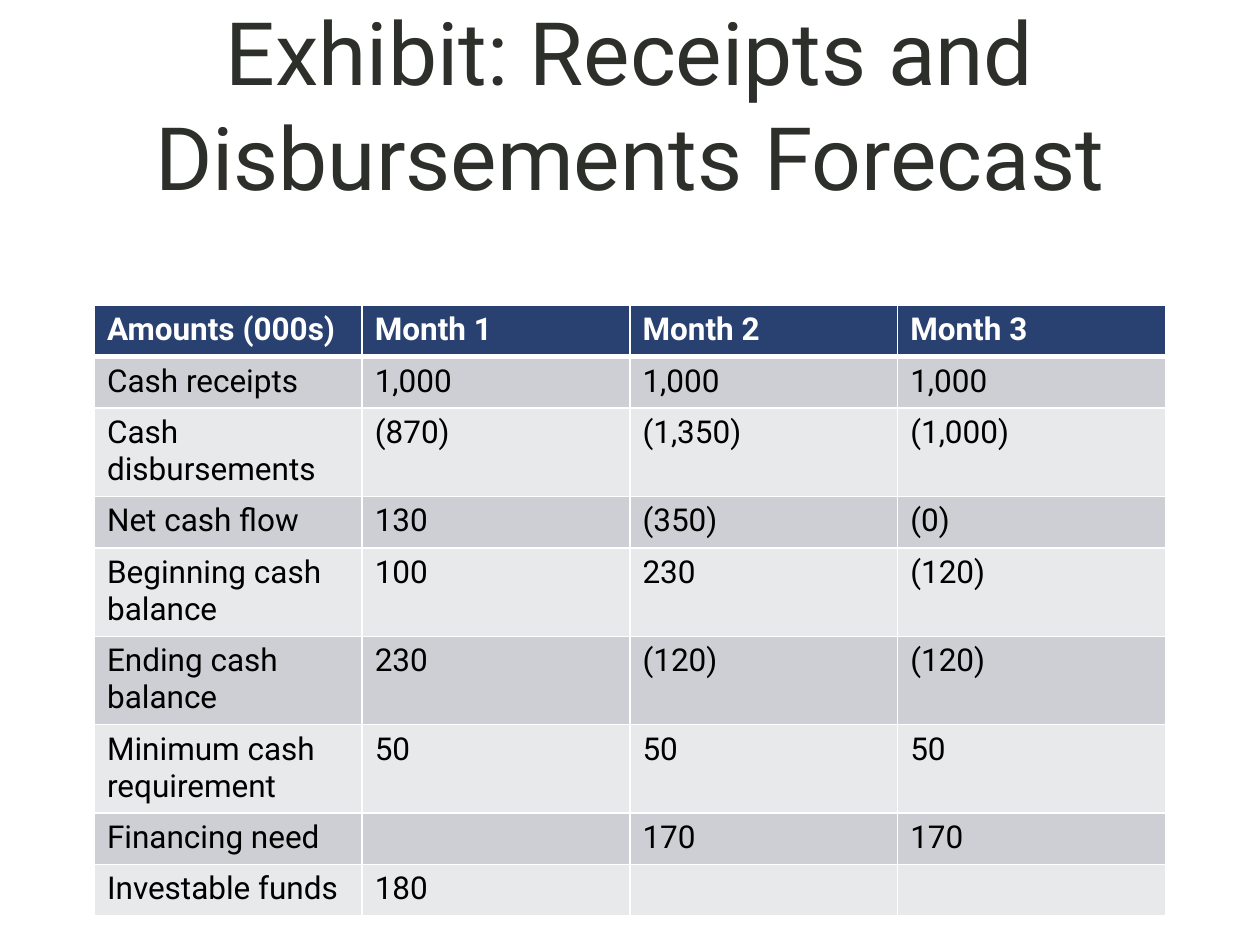
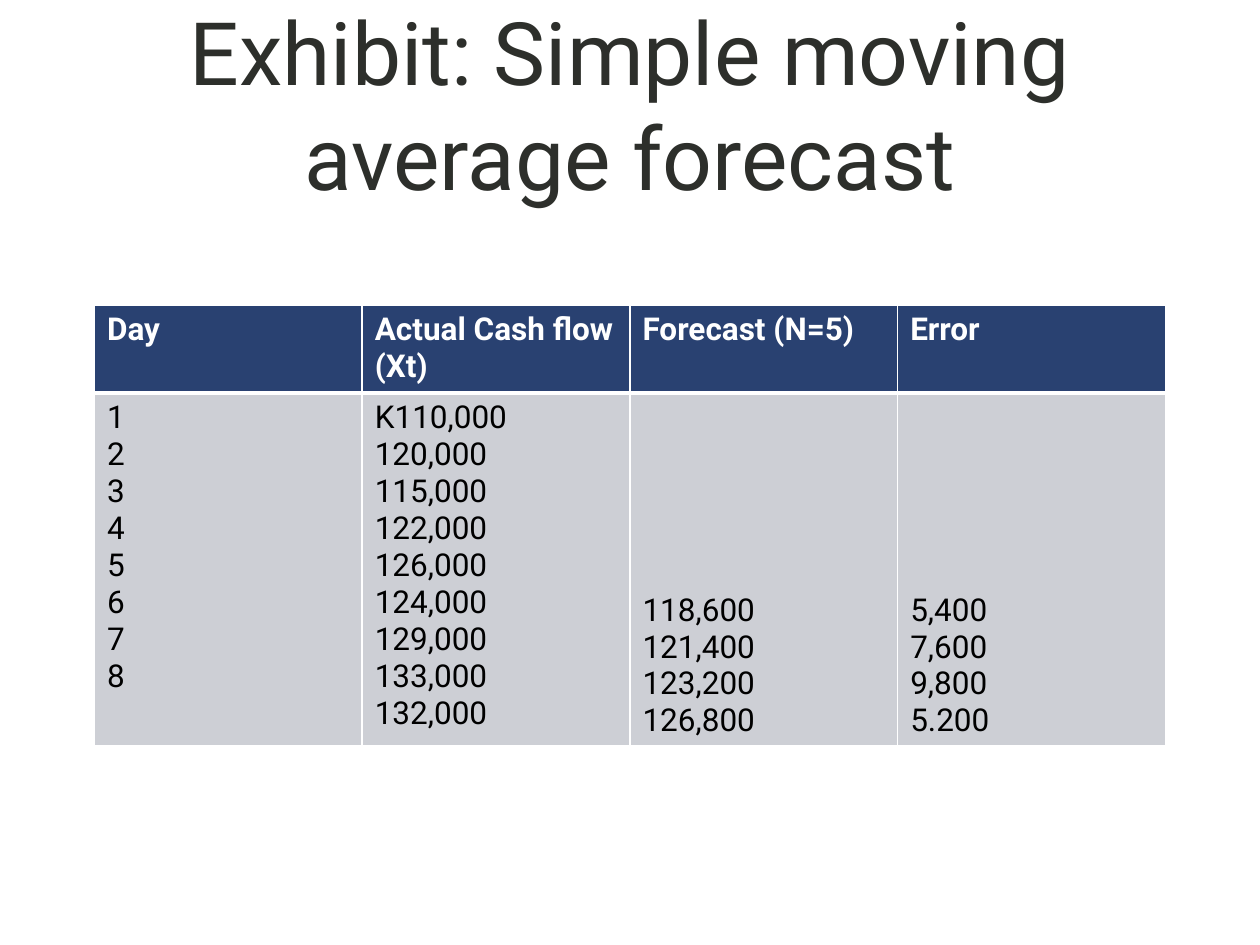
import pptx
import pptx.util
import pptx.dml.color
import pptx.enum.text
from lxml import etree
from pptx.oxml.ns import qn
from pptx.util import Inches

Color = pptx.dml.color.RGBColor
Anchor = pptx.enum.text.MSO_ANCHOR

WHITE = Color(0xFF, 0xFF, 0xFF)
BLACK = Color(0x00, 0x00, 0x00)
INK = Color(0x2D, 0x2F, 0x2B)
NAVY = Color(0x29, 0x41, 0x71)
BANDS = (Color(0xCD, 0xCF, 0xD5), Color(0xE8, 0xE9, 0xEB))
FONT = "Roboto"
LEFT, WIDTH = 0.75, 8.5
ROW = 0.41

CASH = [
    ["Amounts (000s)", "Month 1", "Month 2", "Month 3"],
    ["Cash receipts", "1,000", "1,000", "1,000"],
    ["Cash disbursements", "(870)", "(1,350)", "(1,000)"],
    ["Net cash flow", "130", "(350)", "(0)"],
    ["Beginning cash balance", "100", "230", "(120)"],
    ["Ending cash balance", "230", "(120)", "(120)"],
    ["Minimum cash requirement", "50", "50", "50"],
    ["Financing need", "", "170", "170"],
    ["Investable funds", "180", "", ""],
]

DAYS = "\n".join(str(day) for day in range(1, 9))
FLOWS = "\n".join(["K110,000", "120,000", "115,000", "122,000", "126,000",
                   "124,000", "129,000", "133,000", "132,000"])
AVERAGE = [
    ["Day", "Actual Cash flow (Xt)", "Forecast (N=5)", "Error"],
    [DAYS, FLOWS, "118,600\n121,400\n123,200\n126,800",
     "5,400\n7,600\n9,800\n5.200"],
]


def style(frame, size, color, bold=False):
    for para in frame.paragraphs:
        font = para.font
        font.name, font.size, font.bold = FONT, pptx.util.Pt(size), bold
        font.color.rgb = color


def add_title(slide, text):
    box = slide.shapes.add_textbox(Inches(LEFT), Inches(0.07),
                                   Inches(WIDTH), Inches(1.5))
    frame = box.text_frame
    frame.word_wrap = True
    frame.vertical_anchor = Anchor.MIDDLE
    frame.text = text
    frame.paragraphs[0].alignment = pptx.enum.text.PP_ALIGN.CENTER
    style(frame, 50, INK)


def add_edges(cell, row):
    """Draw white borders, with a thick rule between header and body."""
    props = cell._tc.get_or_add_tcPr()
    thick = {"T": row == 1, "B": row == 0}
    for side in "LRTB":
        points = 3 if thick.get(side) else 1
        line = etree.SubElement(props, qn(f"a:ln{side}"),
                                w=str(pptx.util.Pt(points)))
        fill = etree.SubElement(line, qn("a:solidFill"))
        etree.SubElement(fill, qn("a:srgbClr"), val=str(WHITE))


def fill_cell(cell, text, row):
    head = row == 0
    cell.text = text
    style(cell.text_frame, 18, WHITE if head else BLACK, head)
    add_edges(cell, row)
    cell.fill.solid()
    cell.fill.fore_color.rgb = NAVY if head else BANDS[(row - 1) % 2]


def add_grid(slide, rows):
    count = len(rows[0])
    grid = slide.shapes.add_table(
        len(rows), count, Inches(LEFT), Inches(2.42),
        Inches(WIDTH), Inches(ROW * len(rows))).table
    for r, texts in enumerate(rows):
        for c, text in enumerate(texts):
            fill_cell(grid.cell(r, c), text, r)
    return grid


def add_slide(deck, title, rows):
    slide = deck.slides.add_slide(deck.slide_layouts[6])
    add_title(slide, title)
    return add_grid(slide, rows)


def main():
    deck = pptx.Presentation()
    deck.slide_width, deck.slide_height = Inches(10), Inches(7.5)
    add_slide(deck, "Exhibit: Receipts and Disbursements Forecast", CASH)
    grid = add_slide(deck, "Exhibit: Simple moving average forecast", AVERAGE)
    # Forecasts and errors line up with the last days
    for col in (2, 3):
        grid.cell(1, col).vertical_anchor = Anchor.BOTTOM
    deck.save("out.pptx")


if __name__ == "__main__":
    main()
